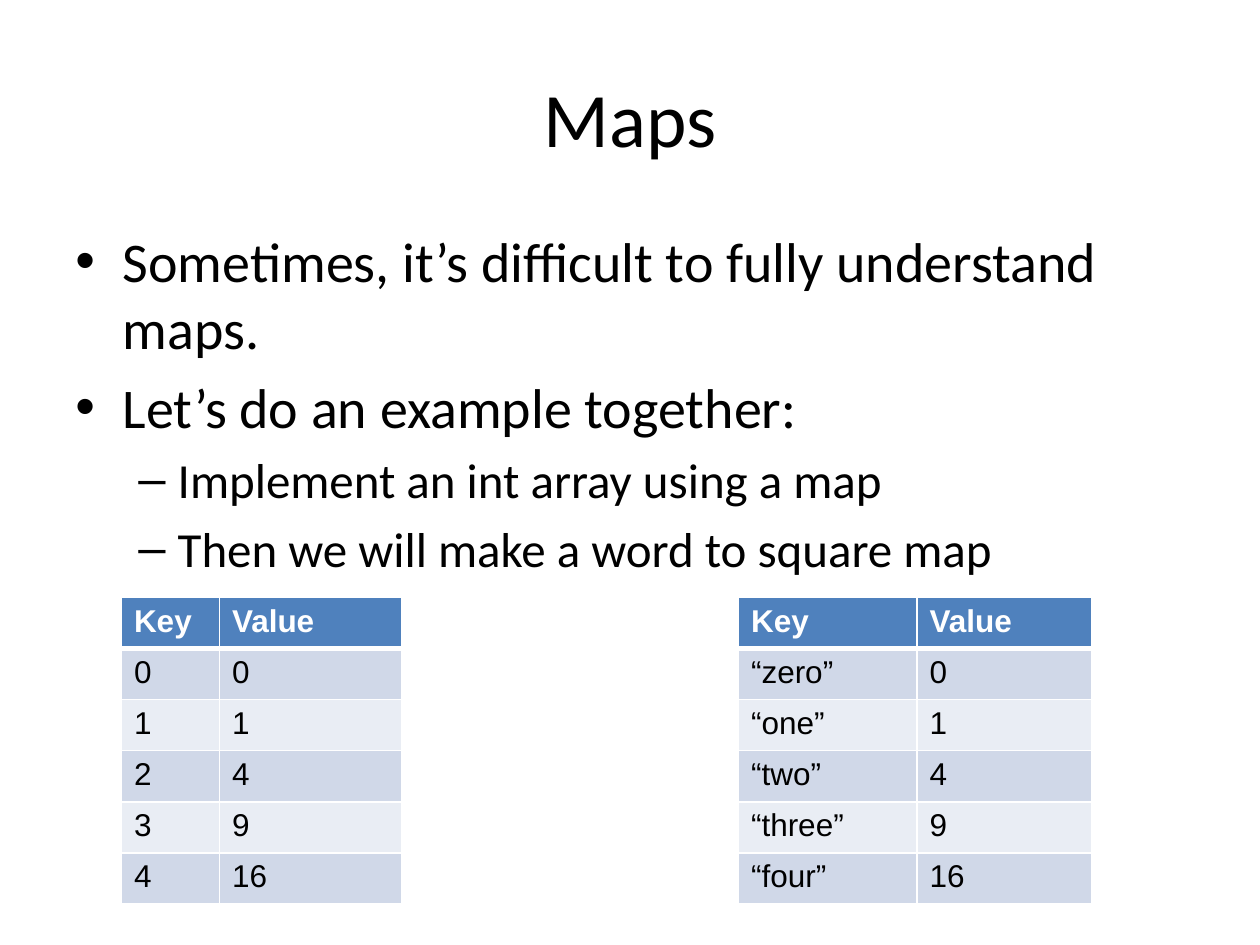
from lxml import etree
from pptx import Presentation
from pptx.dml.color import RGBColor
from pptx.enum import text
from pptx.oxml.ns import qn
from pptx.util import Pt

BLACK = RGBColor(0x00, 0x00, 0x00)
WHITE = RGBColor(0xFF, 0xFF, 0xFF)
HEADER = RGBColor(0x4F, 0x81, 0xBD)
BANDS = [RGBColor(0xD0, 0xD8, 0xE8), RGBColor(0xE9, 0xED, 0xF4)]

# bullet, text indent, hanging indent, font size for each level
LEVELS = [("•", 27, 27, 32), ("–", 58.5, 22.5, 28)]
BODY = [
    (0, "Sometimes, it’s difficult to fully understand maps."),
    (0, "Let’s do an example together:"),
    (1, "Implement an int array using a map"),
    (1, "Then we will make a word to square map"),
]
WORDS = ["“zero”", "“one”", "“two”", "“three”", "“four”"]


def add_run(p, words, size, font, color=BLACK, bold=False):
    r = p.add_run()
    r.text = words
    r.font.size = Pt(size)
    r.font.name = font
    r.font.bold = bold
    r.font.color.rgb = color


def add_box(s, x, y, w, h):
    tf = s.shapes.add_textbox(Pt(x), Pt(y), Pt(w), Pt(h)).text_frame
    tf.word_wrap = True
    return tf


def add_title(s, x, y, w, h):
    tf = add_box(s, x, y, w, h)
    tf.vertical_anchor = text.MSO_ANCHOR.MIDDLE
    p = tf.paragraphs[0]
    p.alignment = text.PP_ALIGN.CENTER
    add_run(p, "Maps", 44, "Calibri")


def set_bullet(p, char, indent, hanging):
    pPr = p._p.get_or_add_pPr()
    pPr.set("marL", str(Pt(indent)))
    pPr.set("indent", str(-Pt(hanging)))
    etree.SubElement(pPr, qn("a:buFont")).set("typeface", "Arial")
    etree.SubElement(pPr, qn("a:buChar")).set("char", char)


def add_body(s, x, y, w, h):
    tf = add_box(s, x, y, w, h)
    for i, (level, words) in enumerate(BODY):
        p = tf.add_paragraph() if i else tf.paragraphs[0]
        char, indent, hanging, size = LEVELS[level]
        set_bullet(p, char, indent, hanging)
        p.level = level
        if i:
            p.space_before = Pt(0.2 * size)
        add_run(p, words, size, "Calibri")


def set_borders(cell, widths):
    """Draw white left, right, top and bottom borders of the given widths."""
    tcPr = cell._tc.get_or_add_tcPr()
    for side, width in zip("LRTB", widths):
        ln = etree.SubElement(tcPr, qn(f"a:ln{side}"), w=str(Pt(width)))
        fill = etree.SubElement(ln, qn("a:solidFill"))
        etree.SubElement(fill, qn("a:srgbClr"), val=str(WHITE))


def add_map_table(s, x, y, col_widths, row_height, keys):
    """Place a table that maps each key to the square of its position."""
    rows = [("Key", "Value")] + [(key, str(i * i)) for i, key in enumerate(keys)]
    frame = s.shapes.add_table(len(rows), 2, Pt(x), Pt(y),
                               Pt(sum(col_widths)), Pt(row_height * len(rows)))
    table = frame.table
    for col, width in zip(table.columns, col_widths):
        col.width = Pt(width)
    for i, row in enumerate(rows):
        table.rows[i].height = Pt(row_height)
        header = i == 0
        for j, words in enumerate(row):
            cell = table.cell(i, j)
            top = 3 if i == 1 else 1
            set_borders(cell, (1, 1, top, 3 if header else 1))
            cell.fill.solid()
            cell.fill.fore_color.rgb = HEADER if header else BANDS[(i - 1) % 2]
            add_run(cell.text_frame.paragraphs[0], words, 18, "Arial",
                    WHITE if header else BLACK, header)


def main():
    prs = Presentation()
    prs.slide_width, prs.slide_height = Pt(720), Pt(540)
    s = prs.slides.add_slide(prs.slide_layouts[6])
    add_title(s, 36, 21.6, 648, 90)
    add_body(s, 36, 126, 648, 356.4)
    add_map_table(s, 69.4, 341.4, (56, 104), 29.2, [str(i) for i in range(5)])
    add_map_table(s, 422, 341.4, (102, 100), 29.2, WORDS)
    prs.save("out.pptx")


if __name__ == "__main__":
    main()
